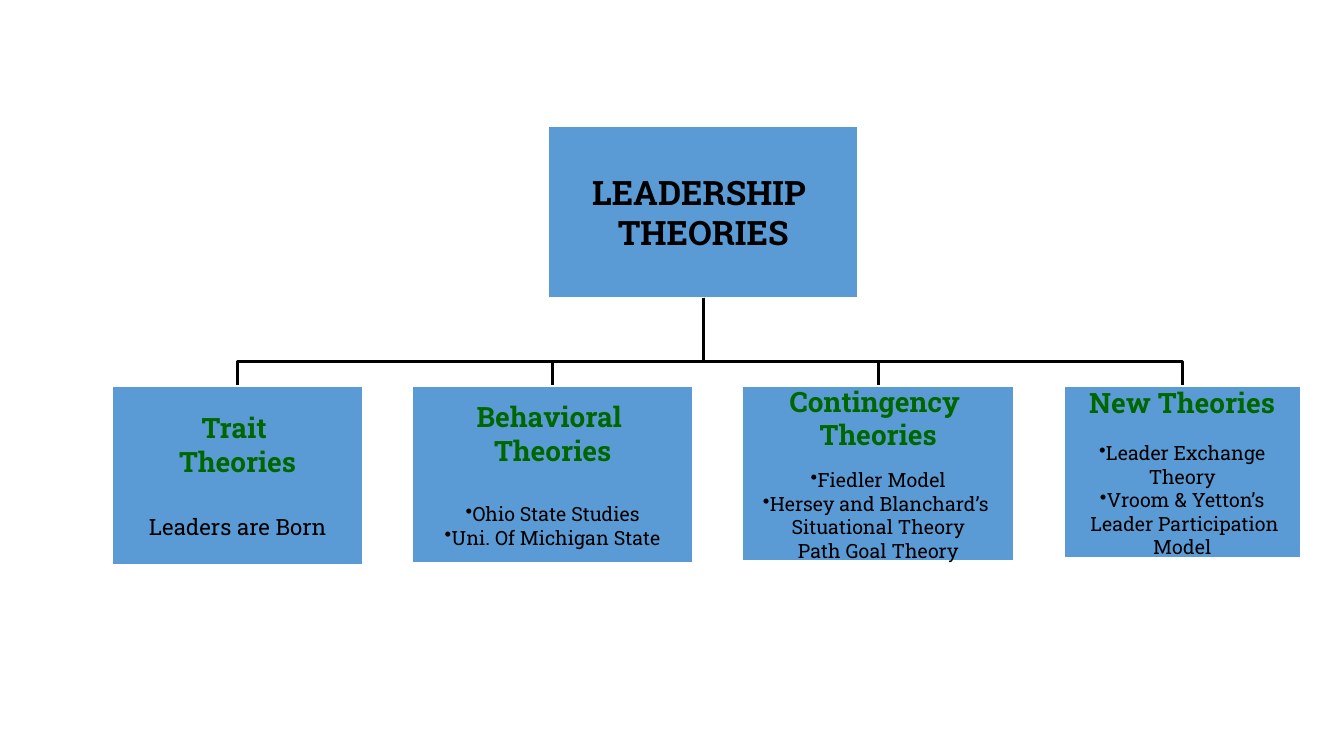
from lxml import etree
from pptx import Presentation
from pptx.dml.color import RGBColor
from pptx.enum.shapes import MSO_SHAPE
from pptx.enum.text import MSO_ANCHOR, MSO_AUTO_SIZE, PP_ALIGN
from pptx.oxml.ns import qn
from pptx.util import Cm, Pt

RECT = MSO_SHAPE.RECTANGLE
MIDDLE = MSO_ANCHOR.MIDDLE
CENTER = PP_ALIGN.CENTER
NO_FIT = MSO_AUTO_SIZE.NONE
TITLE_ONLY = 5

COLORS = {"box": "5B9BD5", "edge": "FFFFFF", "link": "000000",
          "text": "000000", "heading": "006600"}
FONT = "Roboto Slab"

# Root box: left, top, width, height in cm
ROOT = (13.82, 3.18, 7.8, 4.32)
BUS_Y = 9.12
ROW_LEFT, ROW_TOP, ROW_GAP = 2.84, 9.73, 1.26

# Each branch: width, height, heading lines, gap in points, body size, body lines
# A body line that starts with "•" becomes a bulleted paragraph
BRANCHES = [
    (6.3, 4.5, ["Trait ", "Theories"], 25, 16, ["Leaders are Born"]),
    (7.06, 4.45, ["Behavioral ", "Theories"], 25, 14,
     ["•Ohio State Studies", "•Uni. Of Michigan State"]),
    (6.83, 4.39, ["Contingency ", "Theories"], 12, 14,
     ["•Fiedler Model", "•Hersey and Blanchard’s ", "Situational Theory",
      "Path Goal Theory"]),
    (5.97, 4.32, ["New Theories"], 16, 14,
     ["•Leader Exchange Theory", "•Vroom & Yetton’s",
      " Leader Participation Model"]),
]


def rgb(name):
    return RGBColor.from_string(COLORS[name])


def write(tf, text, size=14, color="text", bold=False, before=0):
    """Add a centred paragraph, reusing the empty first one of the frame."""
    p = tf.paragraphs[0]
    if p.runs:
        p = tf.add_paragraph()
    p.alignment = CENTER
    p.space_before = Pt(before)
    if text.startswith("•"):
        pPr = p._p.get_or_add_pPr()
        pPr.set("marL", "0")
        pPr.set("indent", "0")
        etree.SubElement(pPr, qn("a:buChar")).set("char", "•")
    r = p.add_run()
    r.text = text.removeprefix("•")
    r.font.name = FONT
    r.font.size = Pt(size)
    r.font.bold = bold
    r.font.color.rgb = rgb(color)


class Chart:
    """Organisation chart drawn on one slide."""

    def __init__(self, slide):
        self.slide = slide

    def style_box(self, s, inset):
        s.fill.solid()
        s.fill.fore_color.rgb = rgb("box")
        s.line.color.rgb = rgb("edge")
        s.line.width = Pt(1)
        tf = s.text_frame
        tf.word_wrap = True
        tf.auto_size = NO_FIT
        tf.vertical_anchor = MIDDLE
        tf.margin_left = tf.margin_right = Cm(inset)
        tf.margin_top = tf.margin_bottom = Cm(inset)
        return tf

    def title(self, box, lines):
        s = self.slide.shapes.title
        s.left, s.top, s.width, s.height = map(Cm, box)
        tf = self.style_box(s, 0.05)
        for line in lines:
            write(tf, line, size=24, bold=True)

    def branch(self, box, heading, gap, size, body):
        s = self.slide.shapes.add_shape(RECT, *map(Cm, box))
        s.shadow.inherit = False
        tf = self.style_box(s, 0.03)
        for line in heading:
            write(tf, line, size=20, color="heading", bold=True)
        for i, line in enumerate(body):
            write(tf, line, size=size, before=0 if i else gap)

    def link(self, points):
        start, *rest = [(Cm(x), Cm(y)) for x, y in points]
        builder = self.slide.shapes.build_freeform(*start)
        builder.add_line_segments(rest, close=False)
        s = builder.convert_to_shape()
        s.shadow.inherit = False
        s.fill.background()
        s.line.color.rgb = rgb("link")
        s.line.width = Pt(2.25)


def main():
    prs = Presentation()
    prs.slide_width, prs.slide_height = Cm(33.87), Cm(19.05)
    chart = Chart(prs.slides.add_slide(prs.slide_layouts[TITLE_ONLY]))

    chart.title(ROOT, ["LEADERSHIP ", "THEORIES"])
    left, top, width, height = ROOT
    root_x, root_bottom = left + width / 2, top + height

    x = ROW_LEFT
    for width, height, *content in BRANCHES:
        center = x + width / 2
        chart.link([(root_x, root_bottom), (root_x, BUS_Y),
                    (center, BUS_Y), (center, ROW_TOP)])
        chart.branch((x, ROW_TOP, width, height), *content)
        x += width + ROW_GAP

    prs.save("out.pptx")


if __name__ == "__main__":
    main()
